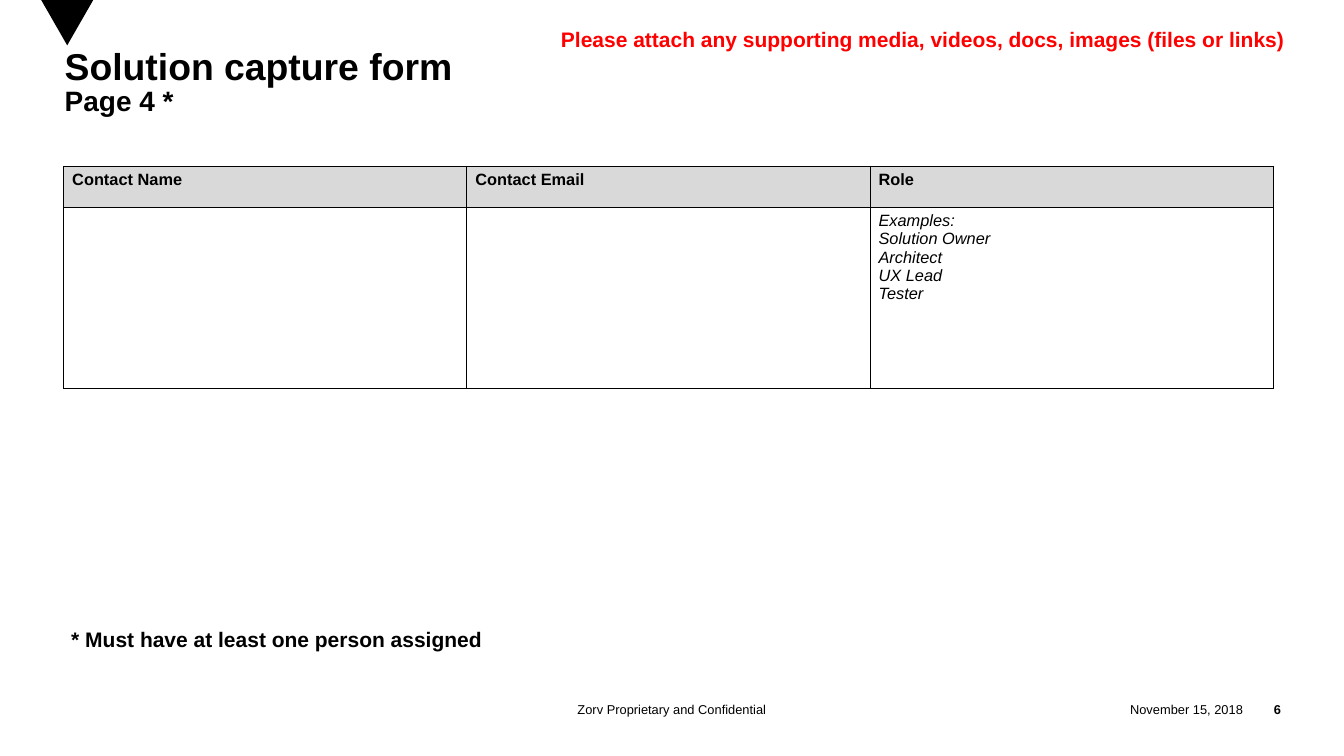
from dataclasses import dataclass

from lxml import etree
from pptx import Presentation
from pptx.dml.color import RGBColor
from pptx.enum.text import MSO_ANCHOR, MSO_AUTO_SIZE, PP_ALIGN
from pptx.oxml.ns import qn
from pptx.util import Inches, Pt

BLACK = RGBColor(0x00, 0x00, 0x00)
RED = RGBColor(0xFF, 0x00, 0x00)
GREY = RGBColor(0xD9, 0xD9, 0xD9)
FONT = "Arial"
LEFT, CENTER, RIGHT = PP_ALIGN.LEFT, PP_ALIGN.CENTER, PP_ALIGN.RIGHT
TOP, MIDDLE = MSO_ANCHOR.TOP, MSO_ANCHOR.MIDDLE
NO_AUTOFIT = MSO_AUTO_SIZE.NONE
TITLE_ONLY = 5


@dataclass
class Label:
    text: str
    left: float
    top: float
    width: float
    height: float
    size: int
    bold: bool = False
    color: RGBColor = BLACK
    align: PP_ALIGN = LEFT
    anchor: MSO_ANCHOR = TOP
    inset: bool = True


FOOTER = dict(top=8.29, height=0.3, size=11, anchor=MIDDLE, inset=False)
LABELS = [
    Label("Zorv Proprietary and Confidential", 5.25, width=5.5, align=CENTER, **FOOTER),
    Label("November 15, 2018", 13.01, width=1.79, align=RIGHT, **FOOTER),
    Label("6", 14.8, width=0.45, align=RIGHT, bold=True, **FOOTER),
    Label("Please attach any supporting media, videos, docs, images (files or links)",
          6.58, 0.27, 8.9, 0.4, 18, True, RED),
    Label("* Must have at least one person assigned", 0.75, 7.41, 5.14, 0.4, 18, True),
]

COLUMN_WIDTH = 4.8
ROW_HEIGHTS = [0.49, 2.15]
CONTACT_ROWS = [
    ["Contact Name", "Contact Email", "Role"],
    ["", "", "Examples:\nSolution Owner\nArchitect\nUX Lead\nTester"],
]


def set_font(p, size: int, bold: bool = False, color: RGBColor = BLACK) -> None:
    p.font.name = FONT
    p.font.size = Pt(size)
    p.font.bold = bold
    p.font.color.rgb = color


def clear_margins(tf) -> None:
    tf.margin_left = tf.margin_right = tf.margin_top = tf.margin_bottom = 0


def add_label(slide, label: Label) -> None:
    sp = slide.shapes.add_textbox(Inches(label.left), Inches(label.top),
                                  Inches(label.width), Inches(label.height))
    tf = sp.text_frame
    tf.word_wrap = False
    tf.auto_size = NO_AUTOFIT
    tf.vertical_anchor = label.anchor
    if not label.inset:
        clear_margins(tf)
    p = tf.paragraphs[0]
    p.text = label.text
    p.alignment = label.align
    set_font(p, label.size, label.bold, label.color)


def add_borders(cell) -> None:
    tc_pr = cell._tc.get_or_add_tcPr()
    for side in ("lnL", "lnR", "lnT", "lnB"):
        ln = etree.SubElement(tc_pr, qn(f"a:{side}"), w=str(Pt(1)))
        fill = etree.SubElement(ln, qn("a:solidFill"))
        etree.SubElement(fill, qn("a:srgbClr"), val=str(BLACK))


def add_contact_table(slide) -> None:
    columns = len(CONTACT_ROWS[0])
    table = slide.shapes.add_table(
        len(CONTACT_ROWS), columns, Inches(0.76), Inches(1.98),
        Inches(COLUMN_WIDTH * columns), Inches(sum(ROW_HEIGHTS))).table
    table.first_row = table.horz_banding = False
    for row, height in zip(table.rows, ROW_HEIGHTS):
        row.height = Inches(height)
    for i, texts in enumerate(CONTACT_ROWS):
        is_header = i == 0
        for j, text in enumerate(texts):
            cell = table.cell(i, j)
            cell.text = text
            add_borders(cell)
            if is_header:
                cell.fill.solid()
                cell.fill.fore_color.rgb = GREY
            else:
                cell.fill.background()
            for p in cell.text_frame.paragraphs:
                set_font(p, 14, is_header)
                p.font.italic = not is_header


def add_marker(slide) -> None:
    builder = slide.shapes.build_freeform(Inches(0.49), 0)
    builder.add_line_segments([(Inches(0.8), Inches(0.54)), (Inches(1.11), 0)])
    sp = builder.convert_to_shape()
    sp.shadow.inherit = False
    sp.fill.solid()
    sp.fill.fore_color.rgb = BLACK
    sp.line.fill.background()


def format_title(slide) -> None:
    sp = slide.shapes.title
    sp.left, sp.top = Inches(0.77), Inches(0.6)
    sp.width, sp.height = Inches(14.5), Inches(1.55)
    tf = sp.text_frame
    tf.word_wrap = True
    tf.auto_size = NO_AUTOFIT
    tf.vertical_anchor = TOP
    clear_margins(tf)
    p = tf.paragraphs[0]
    p.alignment = LEFT
    p.line_spacing = 0.85
    set_font(p, 32, True)
    p.add_run().text = "Solution capture form"
    p.add_line_break()
    r = p.add_run()
    r.text = "Page 4 *"
    r.font.size = Pt(24)


def main() -> None:
    prs = Presentation()
    prs.slide_width, prs.slide_height = Inches(16), Inches(9)
    slide = prs.slides.add_slide(prs.slide_layouts[TITLE_ONLY])

    # Heading
    add_marker(slide)
    format_title(slide)

    # Contacts
    add_contact_table(slide)

    # Notices and footer
    for label in LABELS:
        add_label(slide, label)

    prs.save("out.pptx")


if __name__ == "__main__":
    main()
